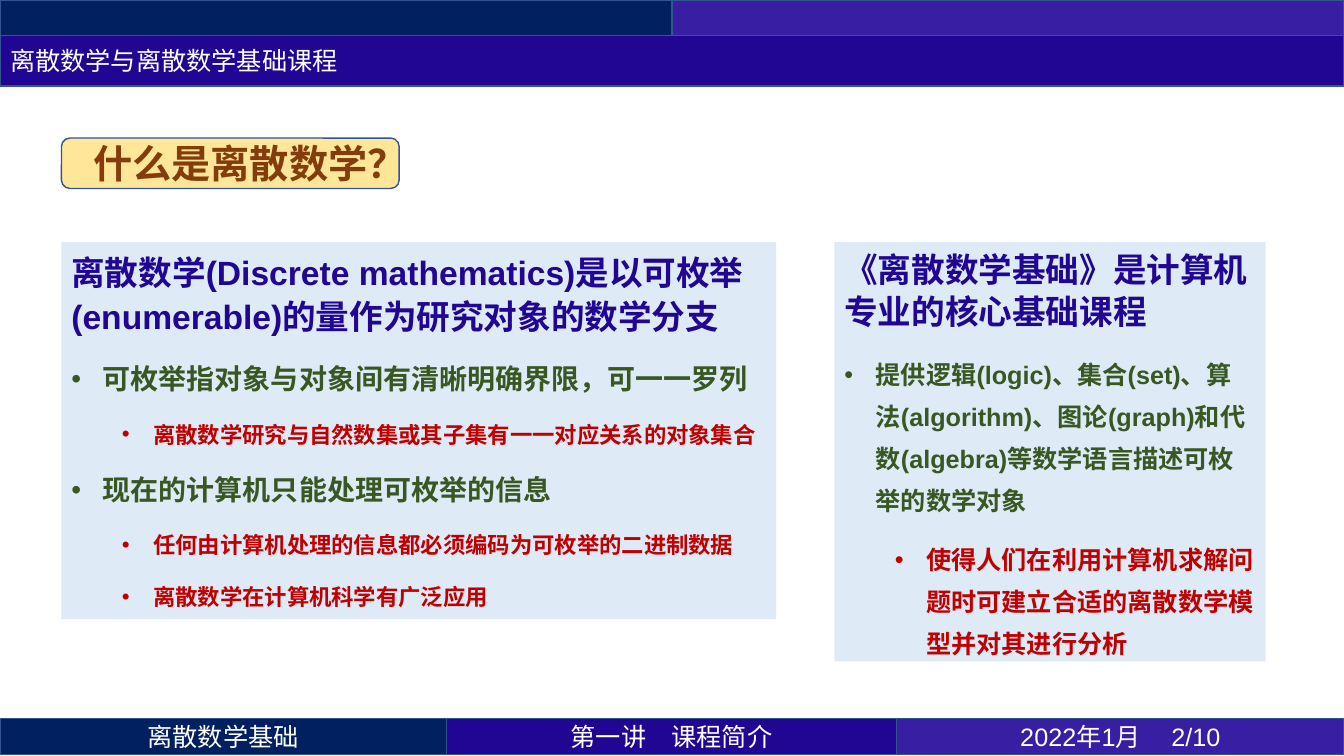
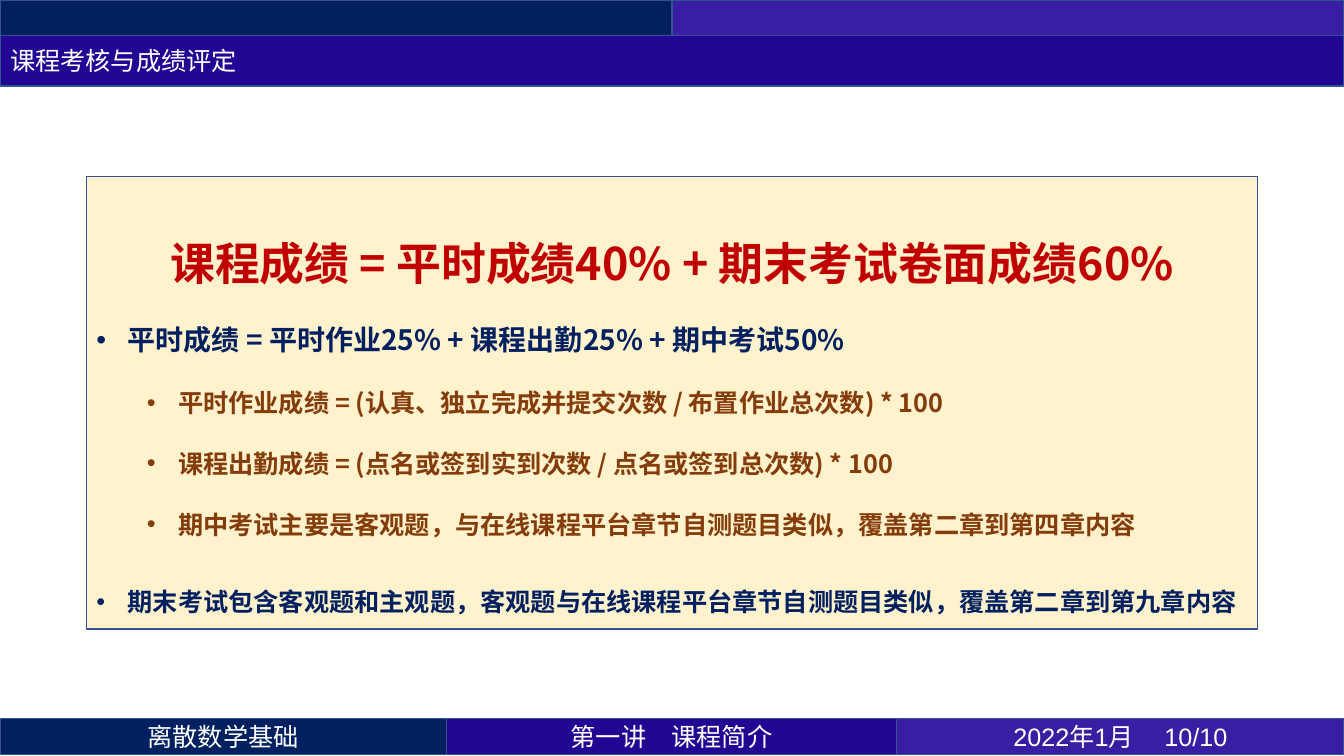
from lxml.etree import SubElement
from pptx import Presentation
from pptx.dml.color import RGBColor
from pptx.enum.shapes import MSO_SHAPE as Preset
from pptx.enum.text import MSO_ANCHOR as Anchor, MSO_AUTO_SIZE as AutoSize, PP_ALIGN as Align
from pptx.oxml.ns import qn
from pptx.util import Cm, Pt

NAVY, INDIGO, VIOLET, EDGE = "002060", "210694", "371EA2", "325491"
WHITE, RED, GREEN, BROWN = "FFFFFF", "C00000", "385723", "843C0B"
GOLD, CREAM, PALE_BLUE = "FFE699", "FFF2CC", "DEEBF7"
CJK, LATIN = "Noto Sans CJK SC", "Arial"
SLIDE_WIDTH, BAND_HEIGHT, FOOTER_TOP = 33.87, 0.9, 18.11
INDENT, LEVEL_STEP = 0.79, 1.27


def paint(box, fill, edge=None, anchor=Anchor.MIDDLE):
    box.fill.solid()
    box.fill.fore_color.rgb = RGBColor.from_string(fill)
    if edge:
        box.line.color.rgb = RGBColor.from_string(edge)
        box.line.width = Pt(1)
    else:
        box.line.fill.background()
    box.shadow.inherit = False
    frame = box.text_frame
    frame.word_wrap = True
    frame.auto_size = AutoSize.NONE
    frame.vertical_anchor = anchor
    return frame


def write(paragraph, text, size, color, font=CJK, bold=False, align=Align.CENTER, level=None):
    paragraph.text = text
    paragraph.alignment = align
    if level is not None:
        paragraph.level = level
        properties = paragraph._p.get_or_add_pPr()
        properties.set("marL", str(Cm(INDENT + level * LEVEL_STEP)))
        properties.set("indent", str(-Cm(INDENT)))
        SubElement(properties, qn("a:buFont")).set("typeface", LATIN)
        SubElement(properties, qn("a:buChar")).set("char", "•")
    style = paragraph.font
    style.size = Pt(size)
    style.bold = bold
    style.color.rgb = RGBColor.from_string(color)
    style.name = font
    SubElement(style._rPr, qn("a:ea")).set("typeface", CJK)


course_intro = {
    "title": "离散数学与离散数学基础课程",
    "page": "2/10",
    "badge": "什么是离散数学？",
    "panels": [
        {
            "place": (1.55, 6.1, 18.01, 9.5), "fill": PALE_BLUE, "edge": None,
            "lines": [
                ("离散数学(Discrete mathematics)是以可枚举(enumerable)的量作为研究对象的数学分支",
                 24, INDIGO, LATIN, Align.LEFT, None, 32, 6, 6),
                ("可枚举指对象与对象间有清晰明确界限，可一一罗列",
                 20, GREEN, CJK, Align.LEFT, 0, 24, 12, 6),
                ("离散数学研究与自然数集或其子集有一一对应关系的对象集合",
                 16, RED, CJK, Align.LEFT, 1, 19.2, 12, 6),
                ("现在的计算机只能处理可枚举的信息",
                 20, GREEN, CJK, Align.LEFT, 0, 24, 12, 6),
                ("任何由计算机处理的信息都必须编码为可枚举的二进制数据",
                 16, RED, CJK, Align.LEFT, 1, 19.2, 12, 6),
                ("离散数学在计算机科学有广泛应用",
                 16, RED, CJK, Align.LEFT, 1, 19.2, 12, 6),
            ],
        },
        {
            "place": (21.03, 6.1, 10.87, 10.57), "fill": PALE_BLUE, "edge": None,
            "lines": [
                ("《离散数学基础》是计算机专业的核心基础课程",
                 24, INDIGO, LATIN, Align.LEFT, None, 30, 6, 6),
                ("提供逻辑(logic)、集合(set)、算法(algorithm)、图论(graph)和代数(algebra)等数学语言描述可枚举的数学对象",
                 18, GREEN, LATIN, Align.LEFT, 0, 30, 6, 6),
                ("使得人们在利用计算机求解问题时可建立合适的离散数学模型并对其进行分析",
                 18, RED, CJK, Align.LEFT, 1, 30, 6, 6),
            ],
        },
    ],
}

grading = {
    "title": "课程考核与成绩评定",
    "page": "10/10",
    "badge": None,
    "panels": [
        {
            "place": (2.18, 4.45, 29.51, 11.4), "fill": CREAM, "edge": EDGE,
            "lines": [
                ("课程成绩 = 平时成绩40% + 期末考试卷面成绩60%",
                 32, RED, CJK, Align.CENTER, None, 77, 0, 0),
                ("平时成绩 = 平时作业25% + 课程出勤25% + 期中考试50%",
                 20, NAVY, CJK, Align.LEFT, 0, 48, 0, 0),
                ("平时作业成绩 = (认真、独立完成并提交次数 / 布置作业总次数) * 100",
                 18, BROWN, CJK, Align.LEFT, 1, 43.5, 0, 0),
                ("课程出勤成绩 = (点名或签到实到次数 / 点名或签到总次数) * 100",
                 18, BROWN, CJK, Align.LEFT, 1, 43.5, 0, 0),
                ("期中考试主要是客观题，与在线课程平台章节自测题目类似，覆盖第二章到第四章内容",
                 18, BROWN, CJK, Align.LEFT, 1, 43.5, 0, 0),
                ("期末考试包含客观题和主观题，客观题与在线课程平台章节自测题目类似，覆盖第二章到第九章内容",
                 18, NAVY, CJK, Align.LEFT, 0, 43.5, 12, 0),
            ],
        },
    ],
}

deck = Presentation()
deck.slide_width = Cm(SLIDE_WIDTH)
deck.slide_height = Cm(19.05)

for topic in (course_intro, grading):
    slide = deck.slides.add_slide(deck.slide_layouts[5])
    shapes = slide.shapes

    bands = [
        (0, 0, SLIDE_WIDTH / 2, NAVY, "", CJK),
        (SLIDE_WIDTH / 2, 0, SLIDE_WIDTH / 2, VIOLET, "", CJK),
        (0, FOOTER_TOP, 11.25, NAVY, "离散数学基础", CJK),
        (11.25, FOOTER_TOP, 11.35, INDIGO, "第一讲\t课程简介", CJK),
        (22.6, FOOTER_TOP, 11.27, VIOLET, f"2022年1月 \t{topic['page']}", LATIN),
    ]
    for left, top, width, fill, label, font in bands:
        band = shapes.add_shape(Preset.RECTANGLE, Cm(left), Cm(top), Cm(width), Cm(BAND_HEIGHT))
        band_frame = paint(band, fill, EDGE)
        if label:
            write(band_frame.paragraphs[0], label, 18, WHITE, font)

    title = shapes.title
    title.left, title.top = Cm(0), Cm(BAND_HEIGHT)
    title.width, title.height = Cm(SLIDE_WIDTH), Cm(1.27)
    title_frame = paint(title, INDIGO, EDGE)
    write(title_frame.paragraphs[0], topic["title"], 18, WHITE, align=Align.LEFT)

    if topic["badge"]:
        badge = shapes.add_shape(Preset.ROUNDED_RECTANGLE, Cm(1.55), Cm(3.48), Cm(8.51), Cm(1.27))
        badge_frame = paint(badge, GOLD, EDGE)
        write(badge_frame.paragraphs[0], topic["badge"], 28, BROWN, bold=True)

    for panel in topic["panels"]:
        panel_box = shapes.add_shape(Preset.RECTANGLE, *map(Cm, panel["place"]))
        panel_frame = paint(panel_box, panel["fill"], panel["edge"], Anchor.TOP)
        for number, line in enumerate(panel["lines"]):
            text, size, color, font, align, level, spacing, before, after = line
            paragraph = panel_frame.add_paragraph() if number else panel_frame.paragraphs[0]
            paragraph.line_spacing = Pt(spacing)
            paragraph.space_before = Pt(before)
            paragraph.space_after = Pt(after)
            write(paragraph, text, size, color, font, True, align, level)

deck.save("out.pptx")
